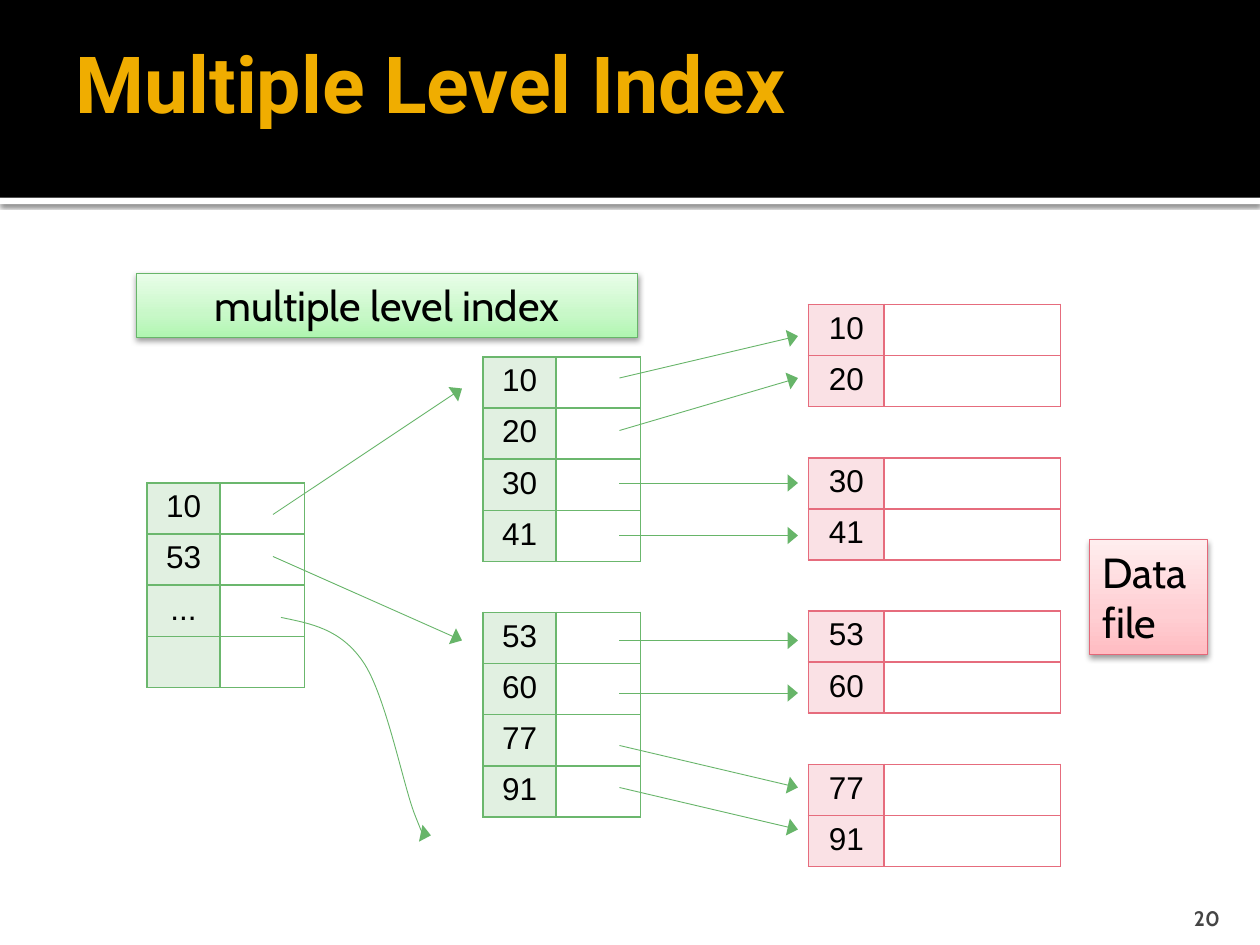
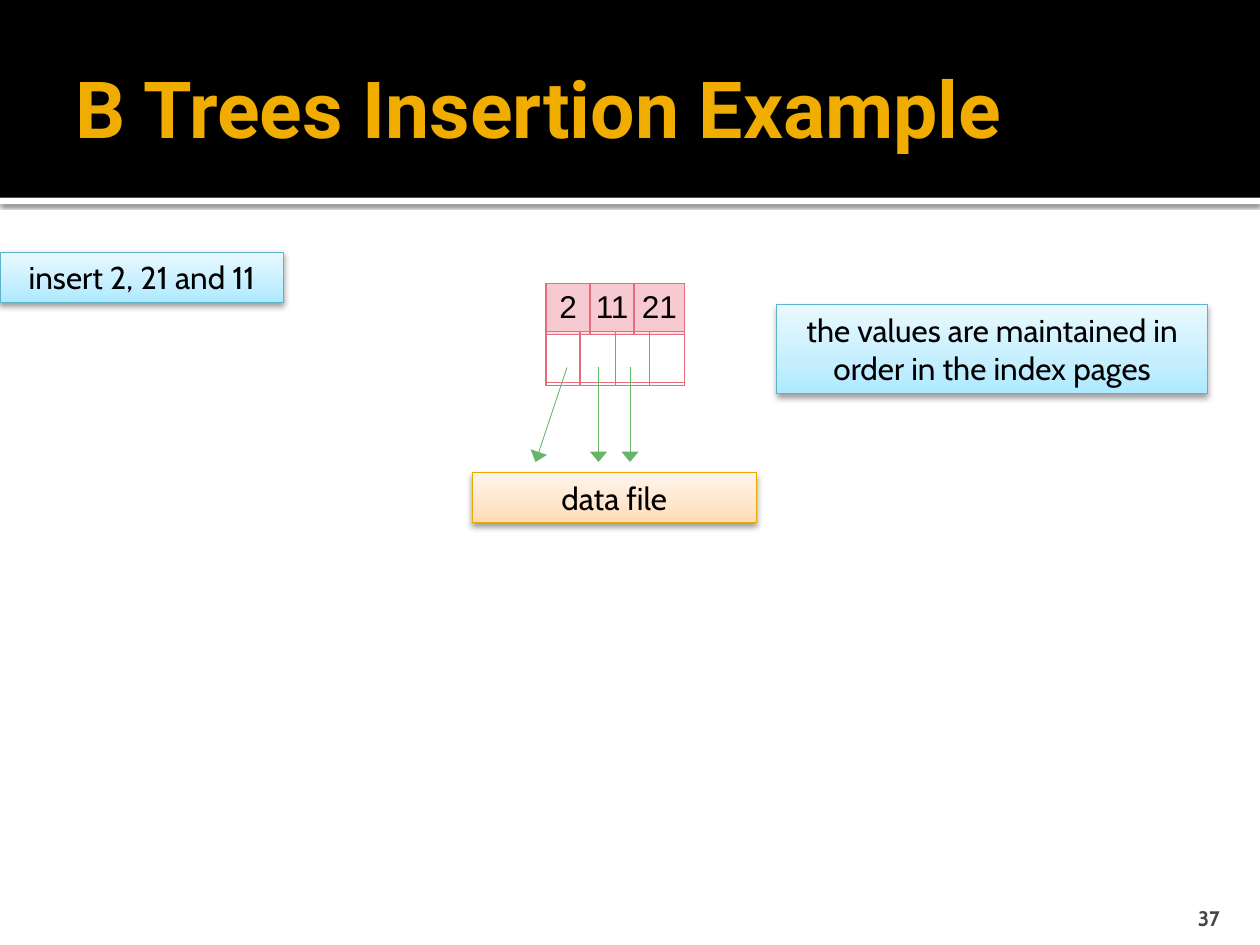
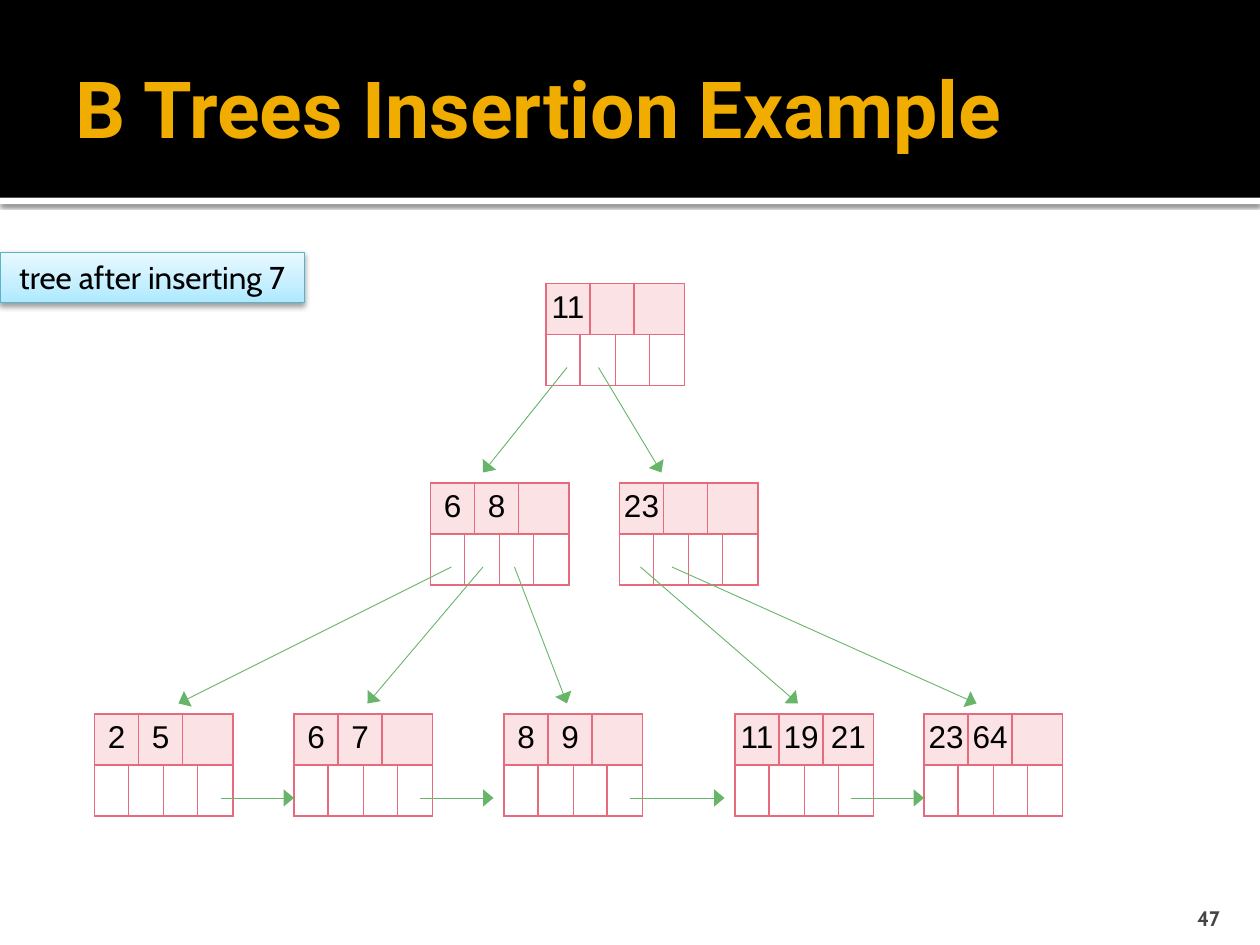
"""Builds three slides on multiple level indexes and B tree insertion."""
from lxml.etree import SubElement
from pptx import Presentation
from pptx.dml.color import RGBColor
from pptx.enum.shapes import MSO_CONNECTOR, MSO_SHAPE
from pptx.enum.text import MSO_ANCHOR, MSO_AUTO_SIZE, PP_ALIGN
from pptx.oxml import parse_xml
from pptx.oxml.ns import nsdecls, qn
from pptx.util import Inches, Pt

colour = RGBColor.from_string
UNIT = Inches(1) / 12
BLACK, WHITE, GREEN, PINK, PALE_PINK = "000000", "FFFFFF", "6BB76D", "E66C7D", "FAE2E5"
ARROW_GREEN = "67B569"
NO_STYLE = "{2D5ABB26-0587-4C30-8999-92F81FD0307C}"
CENTER, LEFT = PP_ALIGN.CENTER, PP_ALIGN.LEFT
ROW, LOW_ROW, NODE_HEIGHT = Pt(29.2), Pt(27.4), Inches(0.8)

TITLE_FONT = {"name": "Roboto", "size": Pt(45), "bold": True}
KEY_FONT = {"name": "Arial", "size": Pt(18), "bold": False}
NUMBER_FONT = {"name": "Cabin", "size": Pt(12), "bold": True}
TITLE_FRAME = {"word_wrap": True, "auto_size": MSO_AUTO_SIZE.NONE,
               "vertical_anchor": MSO_ANCHOR.MIDDLE, "margin_left": Inches(0.1),
               "margin_right": Inches(0.05), "margin_top": Inches(0.05),
               "margin_bottom": Inches(0.05)}
NUMBER_FRAME = {"word_wrap": True, "vertical_anchor": MSO_ANCHOR.BOTTOM, "margin_bottom": 0}

LABEL_STYLES = {
    "green": (ARROW_GREEN, ("B0F6B1", "C8F8C8", "E9FDE9")),
    "pink": ("E46778", ("FFBCC2", "FFCFD3", "FFEDEE")),
    "blue": ("5BB3CA", ("ADE9FF", "C5EFFF", "E9F9FF")),
    "orange": ("EBA900", ("FFDBB5", "FFE5CB", "FFF5EB")),
}
DATA_WIDTHS, INDEX_WIDTHS = (0.6, 1.4), (0.58, 0.67)
NODE_WIDTHS = (0.27, 0.08, 0.2, 0.15, 0.12, 0.28)
NODE_POINTERS = [(span, "", False) for span in (1, 2, 2, 1)]

PAGES = [
    {"title": "Multiple Level Index", "title_place": (6, 1.6, 99, 12.5), "number": "20",
     "labels": [("multiple level index", "green", (13, 26, 47.75, 6.1), 24, CENTER),
                ("Data file", "pink", (103.8, 51.4, 11.2, 10.9), 24, LEFT)],
     "lists": [(77, 29, DATA_WIDTHS, PINK,
                ("10", "20", None, "30", "41", None, "53", "60", None, "77", "91")),
               (46, 34, INDEX_WIDTHS, GREEN,
                ("10", "20", "30", "41", None, "53", "60", "77", "91")),
               (14, 46, INDEX_WIDTHS, GREEN, ("10", "53", "...", ""))],
     "nodes": [],
     "arrows": [(59, 36, 76, 32), (59, 41, 76, 36), (59, 46, 76, 46), (59, 51, 76, 51),
                (59, 61, 76, 61), (59, 66, 76, 66), (59, 71, 76, 75), (59, 75, 76, 79),
                (26, 49, 44, 37), (26, 53, 44, 61)],
     "curve": [(2.23, 4.9), (2.47, 4.95), (2.7, 4.99), (2.88, 5.25), (3.06, 5.51),
               (3.2, 6.23), (3.29, 6.46), (3.38, 6.69), (3.4, 6.66), (3.42, 6.63)]},
    {"title": "B Trees Insertion Example", "title_place": (6, 2, 108, 16.4), "number": "37",
     "labels": [("insert 2, 21 and 11", "blue", (0, 24, 27, 4.8), 18, CENTER),
                ("data file", "orange", (45, 45, 27, 4.8), 18, CENTER),
                ("the values are maintained in order in the index pages", "blue",
                 (74, 29, 41, 8.5), 18, CENTER)],
     "lists": [],
     "nodes": [(52, 27, ("", "", ""), LOW_ROW, PALE_PINK, 100),
               (52, 27, ("2", "11", "21"), ROW, PINK, 20)],
     "arrows": [(57, 35, 57, 44), (60, 35, 60, 44), (54, 35, 51, 44)],
     "curve": []},
    {"title": "B Trees Insertion Example", "title_place": (6, 2, 108, 16.4), "number": "47",
     "labels": [("tree after inserting 7", "blue", (0, 24, 29, 4.8), 18, CENTER)],
     "lists": [],
     "nodes": [(left, top, keys, ROW, PALE_PINK, 100) for left, top, keys in (
         (52, 27, ("11", "", "")), (41, 46, ("6", "8", "")), (59, 46, ("23", "", "")),
         (9, 68, ("2", "5", "")), (28, 68, ("6", "7", "")), (48, 68, ("8", "9", "")),
         (70, 68, ("11", "19", "21")), (88, 68, ("23", "64", "")))],
     "arrows": [(54, 35, 46, 45), (57, 35, 63, 45), (43, 54, 17, 67), (46, 54, 35, 67),
                (49, 54, 54, 67), (61, 54, 76, 67), (64, 54, 93, 67), (21, 76, 28, 76),
                (40, 76, 47, 76), (60, 76, 69, 76), (81, 76, 88, 76)],
     "curve": []},
]


def add_shadow(shape, alpha, blur, distance):
    """Gives a shape a soft shadow that falls straight down."""
    shape.shadow.inherit = False
    shape._element.spPr.find(qn("a:effectLst")).append(parse_xml(
        f'<a:outerShdw {nsdecls("a")} blurRad="{Pt(blur)}" dist="{Pt(distance)}" dir="5400000">'
        f'<a:srgbClr val="{BLACK}"><a:alpha val="{alpha * 1000}"/></a:srgbClr></a:outerShdw>'))


def add_grid(page, left, top, widths, heights, rows, border, fill, alpha):
    """Adds a table whose rows hold (column span, text, is key) entries."""
    frame = page.shapes.add_table(len(rows), len(widths), int(left * UNIT), int(top * UNIT),
                                  Inches(sum(widths)), sum(heights))
    table = frame.table
    table.first_row = table.horz_banding = False
    table._tbl.tblPr.find(qn("a:tableStyleId")).text = NO_STYLE
    for column, width in zip(table.columns, widths):
        column.width = Inches(width)
    for row_index, row in enumerate(rows):
        table.rows[row_index].height = heights[row_index]
        first = 0
        for span_size, text, is_key in row:
            cell = table.cell(row_index, first)
            if span_size > 1:
                cell.merge(table.cell(row_index, first + span_size - 1))
            first += span_size
            cell.margin_left = cell.margin_right = Inches(0.02)
            cell.margin_top = cell.margin_bottom = Inches(0.05 if text else 0)
            for side in "TB" if span_size == len(widths) else "LRTB":
                cell._tc.get_or_add_tcPr().append(parse_xml(
                    f'<a:ln{side} {nsdecls("a")} w="{Pt(1)}"><a:solidFill>'
                    f'<a:srgbClr val="{border}"/></a:solidFill></a:ln{side}>'))
            if is_key:
                cell.fill.solid()
                cell.fill.fore_color.rgb = colour(fill)
                shade = cell._tc.tcPr.find(qn("a:solidFill"))[0]
                SubElement(shade, qn("a:alpha"), val=str(alpha * 1000))
            else:
                cell.fill.background()
            if text:
                para = cell.text_frame.paragraphs[0]
                para.alignment = CENTER
                span = para.add_run()
                span.text = text
                span.font.color.rgb = colour(BLACK)
                for name, value in KEY_FONT.items():
                    setattr(span.font, name, value)
    return frame


deck = Presentation()
deck.slide_width, deck.slide_height = Inches(10), Inches(7.5)
layout = deck.slide_layouts[5]

for content in PAGES:
    page = deck.slides.add_slide(layout)
    if content is PAGES[0]:
        for depth, (top, height, fill) in enumerate(((1.57, 0.05, WHITE), (0, 1.57, BLACK))):
            band = page.shapes.add_shape(MSO_SHAPE.RECTANGLE, 0, Inches(top),
                                         deck.slide_width, Inches(height))
            band.fill.solid()
            band.fill.fore_color.rgb = colour(fill)
            band.line.fill.background()
            band.shadow.inherit = False
            if fill == WHITE:
                add_shadow(band, 60, 2.5, 0.8)
            layout.shapes._spTree.insert(2 + depth, band._element)

    for left, top, keys, key_height, fill, alpha in content["nodes"]:
        rows = [[(2, key, True) for key in keys], NODE_POINTERS]
        node = add_grid(page, left, top, NODE_WIDTHS, (key_height, ROW), rows, PINK, fill, alpha)
        node.height = NODE_HEIGHT
    for left, top, widths, border, keys in content["lists"]:
        rows = [[(2, "", False)] if key is None else [(1, key, True), (1, "", False)]
                for key in keys]
        add_grid(page, left, top, widths, [ROW] * len(rows), rows, border, border, 20)

    title = page.shapes.title
    title.left, title.top, title.width, title.height = (
        int(length * UNIT) for length in content["title_place"])
    number = page.shapes.add_textbox(Inches(8.97), Inches(7.09), Inches(0.81), Inches(0.3))
    for box, text, frame_format, font_format, ink, side in (
            (title, content["title"], TITLE_FRAME, TITLE_FONT, "F0AD00", LEFT),
            (number, content["number"], NUMBER_FRAME, NUMBER_FONT, "454545", PP_ALIGN.RIGHT)):
        for name, value in frame_format.items():
            setattr(box.text_frame, name, value)
        para = box.text_frame.paragraphs[0]
        para.alignment = side
        span = para.add_run()
        span.text = text
        span.font.color.rgb = colour(ink)
        for name, value in font_format.items():
            setattr(span.font, name, value)

    for text, style, place, size, side in content["labels"]:
        border, shades = LABEL_STYLES[style]
        label = page.shapes.add_shape(MSO_SHAPE.RECTANGLE, *(int(length * UNIT) for length in place))
        stops = "".join(f'<a:gs pos="{share * 1000}"><a:srgbClr val="{shade}"/></a:gs>'
                        for share, shade in zip((0, 35, 100), shades))
        label._element.spPr.insert(2, parse_xml(
            f'<a:gradFill {nsdecls("a")} rotWithShape="1"><a:gsLst>{stops}</a:gsLst>'
            '<a:lin ang="16200000" scaled="0"/></a:gradFill>'))
        label.line.color.rgb = colour(border)
        label.line.width = Pt(0.5)
        add_shadow(label, 38, 3.5, 2)
        label.text_frame.word_wrap = True
        label.text_frame.auto_size = MSO_AUTO_SIZE.SHAPE_TO_FIT_TEXT
        para = label.text_frame.paragraphs[0]
        para.alignment = side
        span = para.add_run()
        span.text = text
        span.font.color.rgb = colour(BLACK)
        for name, value in {"name": "Cabin", "size": Pt(size)}.items():
            setattr(span.font, name, value)

    arrows = [page.shapes.add_connector(MSO_CONNECTOR.STRAIGHT, *(int(end * UNIT) for end in ends))
              for ends in content["arrows"]]
    if content["curve"]:
        start, *bends = [(Inches(x), Inches(y)) for x, y in content["curve"]]
        builder = page.shapes.build_freeform(*start)
        builder.add_line_segments(bends, close=False)
        curve = builder.convert_to_shape()
        curve.fill.background()
        outline = curve._element.spPr.find(".//" + qn("a:path"))
        steps = outline.findall(qn("a:lnTo"))
        for first in range(0, len(steps), 3):
            bend = SubElement(outline, qn("a:cubicBezTo"))
            for step in steps[first:first + 3]:
                bend.append(step[0])
                outline.remove(step)
        arrows.append(curve)
    for arrow in arrows:
        arrow.line.color.rgb = colour(ARROW_GREEN)
        arrow.line.width = Pt(0.5)
        SubElement(arrow.line._get_or_add_ln(), qn("a:tailEnd"), type="triangle", w="lg", len="med")
        SubElement(arrow._element.spPr, qn("a:effectLst"))

deck.save("out.pptx")
